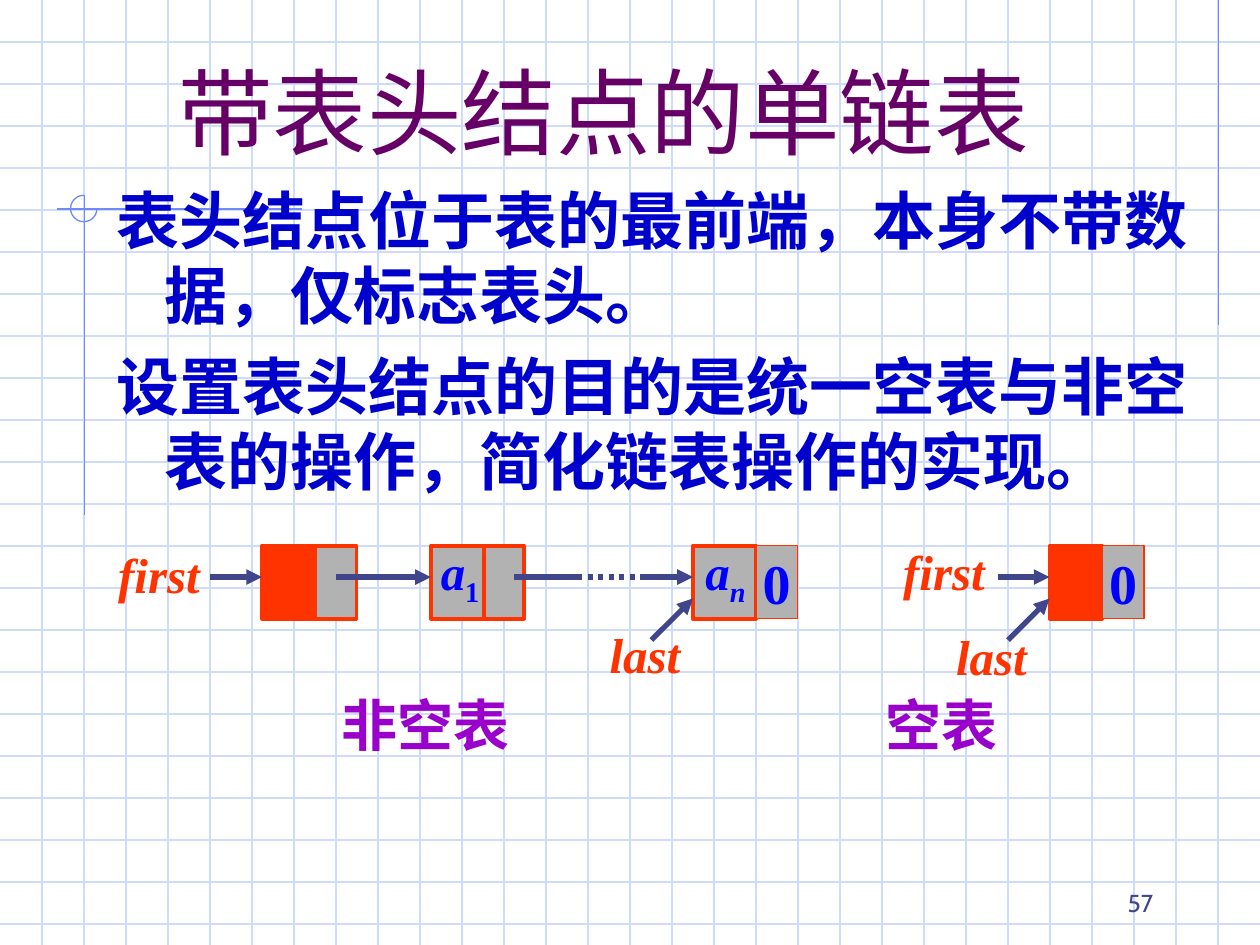
from pptx import Presentation, util as u
from pptx.dml.color import RGBColor
from pptx.enum import dml, shapes, text
from pptx.oxml.ns import qn
from lxml import etree

COLORS = {
    "grid": "CFDBFD", "accent": "6F89F7", "arrow": "40458C", "title": "660066",
    "body": "0000CC", "caption": "9900CC", "cell": "B2B2B2", "red": "FF3300",
    "data": "0000FF",
}
SERIF = "Times New Roman"
CJK = "Noto Sans CJK SC"

prs = Presentation()
prs.slide_width, prs.slide_height = u.Inches(10), u.Inches(7.5)
s = prs.slides.add_slide(prs.slide_layouts[6])


def add_line(x1, y1, x2, y2, color="arrow", width=3, dash=None, arrow=False):
    c = s.shapes.add_connector(shapes.MSO_CONNECTOR.STRAIGHT,
                               *(u.Inches(v) for v in (x1, y1, x2, y2)))
    c.line.color.rgb = RGBColor.from_string(COLORS[color])
    c.line.width = u.Pt(width)
    if dash:
        c.line.dash_style = dash
    if arrow:
        etree.SubElement(c.line._get_or_add_ln(), qn("a:tailEnd"), type="triangle")
    etree.SubElement(c._element.spPr, qn("a:effectLst"))


def write(content, sp=None, at=None, size=28, color="red", font=SERIF, bold=True,
          italic=False, sub=None, sub_italic=False, align="LEFT", anchor="TOP",
          wrap=False, hanging=0, before=0, spacing=None, tab=None):
    """Write one paragraph per line of content into sp, or into a new box at `at`."""
    sp = sp or s.shapes.add_textbox(*(u.Inches(v) for v in at))
    tf = sp.text_frame
    tf.word_wrap = wrap
    tf.vertical_anchor = text.MSO_ANCHOR[anchor]
    if align == "LEFT":
        tf.margin_right = 0  # room for short labels to stay on one line
    for i, line in enumerate(content.split("\n")):
        p = tf.add_paragraph() if i else tf.paragraphs[0]
        p.alignment = text.PP_ALIGN[align]
        pPr = p._p.get_or_add_pPr()
        if hanging:
            pPr.set("marL", str(u.Inches(hanging)))
            pPr.set("indent", str(-u.Inches(hanging)))
        if spacing:
            p.line_spacing = u.Pt(spacing)
        if i:
            p.space_before = u.Pt(before)
        if tab:
            tabs = etree.SubElement(pPr, qn("a:tabLst"))
            etree.SubElement(tabs, qn("a:tab"), pos=str(u.Inches(tab)), algn="l")
        for part, slanted in ((line, italic), (sub, sub_italic)):
            if not part:
                continue
            r = p.add_run()
            r.text = part
            f = r.font
            f.size, f.name, f.bold, f.italic = u.Pt(size), font, bold, slanted
            f.color.rgb = RGBColor.from_string(COLORS[color])
            etree.SubElement(f._element, qn("a:ea"), typeface=CJK)
            if part is sub:
                f._element.set("baseline", "-25000")


# Background grid, three lines to the inch
for i in range(1, 23):
    add_line(0, i / 3, 10, i / 3, "grid", 0.75)
for i in range(1, 30):
    add_line(i / 3, 0, i / 3, 7.5, "grid", 0.75)

# Corner ornament
for ends in ((9.67, 0, 9.67, 2.58), (2.4, 1.66, 0.45, 1.66), (0.67, 1.55, 0.67, 4.09)):
    add_line(*ends, "accent", 0.75)
arc = s.shapes.add_shape(shapes.MSO_SHAPE.ARC, u.Inches(0.56), u.Inches(1.55),
                         u.Inches(0.21), u.Inches(0.21))
arc.shadow.inherit = False
arc.adjustments[0], arc.adjustments[1] = 0, 162  # three quarters, open at upper right
arc.fill.background()
arc.line.color.rgb = RGBColor.from_string(COLORS["accent"])
arc.line.width = u.Pt(0.75)

# Page number, title and body
write("57", at=(7.17, 6.83, 2.08, 0.5), size=14, color="arrow", font="Cabin",
      bold=False, align="RIGHT", anchor="BOTTOM", wrap=True)
write("带表头结点的单链表", at=(0.75, 0.55, 8.08, 0.83), size=54, color="title",
      bold=False, align="CENTER", anchor="BOTTOM", wrap=True)
write("表头结点位于表的最前端，本身不带数据，仅标志表头。\n"
      "设置表头结点的目的是统一空表与非空表的操作，简化链表操作的实现。",
      at=(0.83, 1.39, 8.65, 2.61), size=36, color="body", wrap=True,
      hanging=0.38, before=9, spacing=43)
write("非空表\t空表", at=(2.61, 5.42, 6.15, 0.66), size=32, color="caption",
      font=CJK, anchor="MIDDLE", tab=4.32)

# List cells: left, width, fill, border, content
CELLS = [
    (2.5, 0.33, "cell", 2.25, ""), (2.08, 0.42, "red", 2.25, ""),
    (3.83, 0.33, "cell", 2.25, ""), (3.42, 0.42, "cell", 2.25, ""),
    (5.5, 0.5, "cell", 2.25, ""), (6, 0.33, "cell", 0.75, "0"),
    (8.33, 0.42, "red", 2.25, ""), (8.75, 0.33, "cell", 0.75, "0"),
]
for left, width, fill, border, content in CELLS:
    sp = s.shapes.add_shape(shapes.MSO_SHAPE.RECTANGLE, u.Inches(left), u.Inches(4.33),
                            u.Inches(width), u.Inches(0.58))
    sp.shadow.inherit = False
    sp.fill.solid()
    sp.fill.fore_color.rgb = RGBColor.from_string(COLORS[fill])
    sp.line.color.rgb = RGBColor.from_string(COLORS["red"])
    sp.line.width = u.Pt(border)
    if content:
        write(content, sp, size=32, color="data", align="CENTER", anchor="MIDDLE")

# Pointers
add_line(4.08, 4.58, 4.58, 4.58)
add_line(4.58, 4.58, 5.08, 4.58, dash=dml.MSO_LINE.ROUND_DOT)
for start, end in ((5.08, 5.5), (2.67, 3.42), (1.67, 2.08), (7.92, 8.33)):
    add_line(start, 4.58, end, 4.58, arrow=True)
for end in (5.5, 8.33):
    add_line(end - 0.33, 5.08, end, 4.75, arrow=True)

# Labels
write("a", at=(3.4, 4.25, 0.5, 0.63), color="data", italic=True, sub="1")
write("a", at=(5.5, 4.25, 0.57, 0.63), color="data", italic=True, sub="n", sub_italic=True)
for label, left, top, width in (("first", 0.84, 4.27, 0.84), ("last", 4.74, 4.91, 0.76),
                                ("first", 7.07, 4.25, 0.84), ("last", 7.49, 4.92, 0.76)):
    write(label, at=(left, top, width, 0.57), italic=True)

prs.save("out.pptx")
